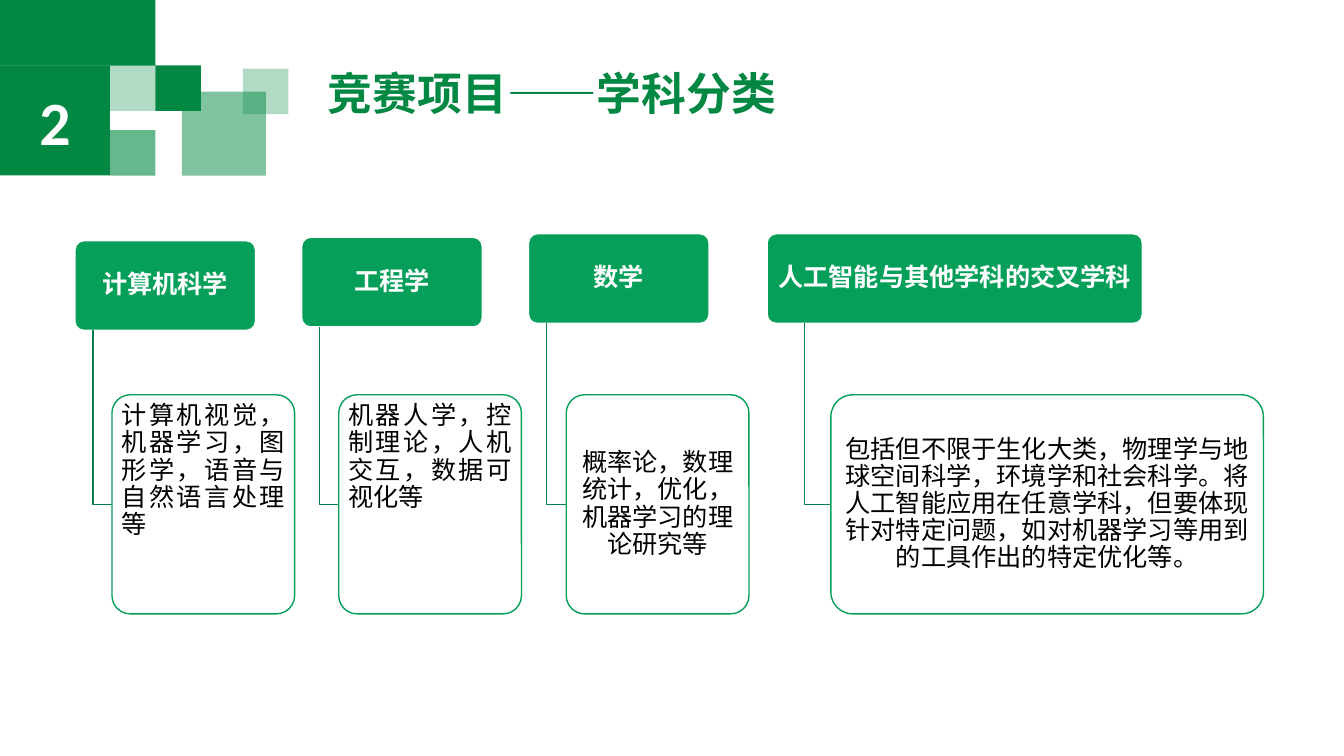
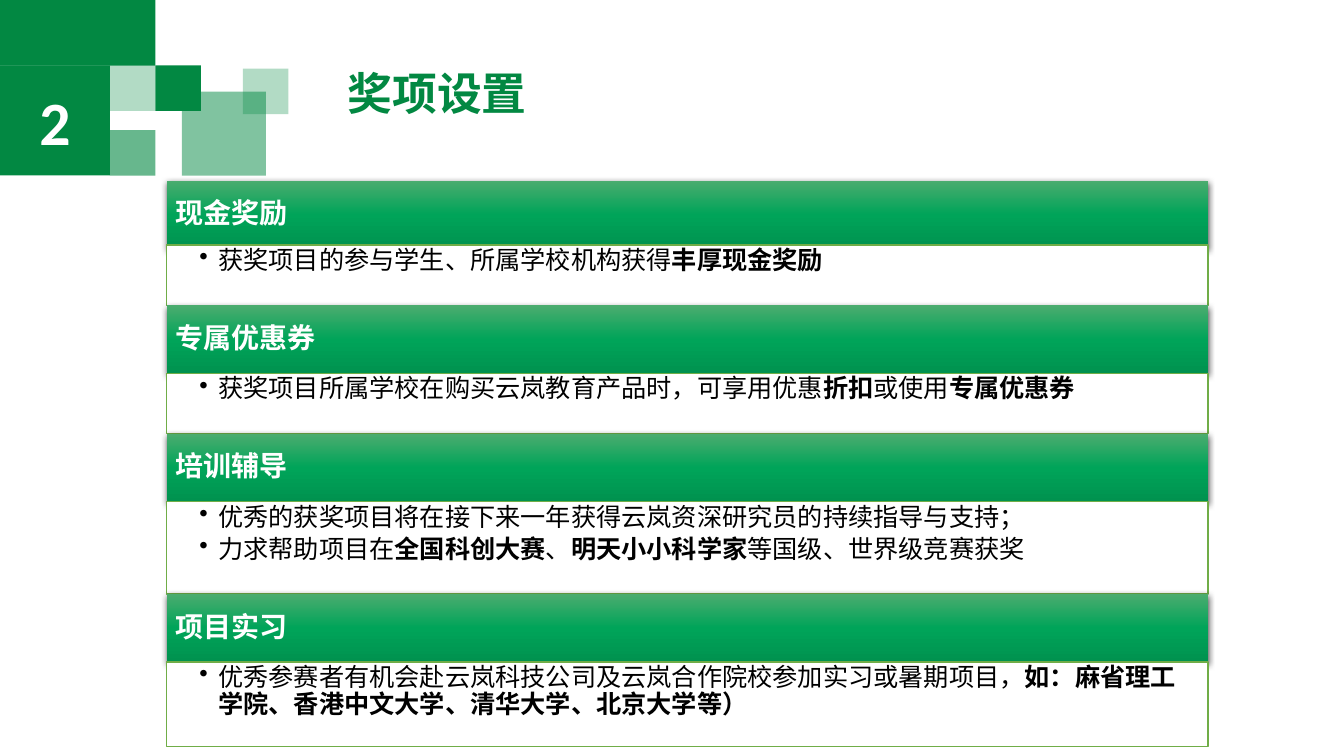
from lxml import etree
from pptx import Presentation
from pptx.dml.color import RGBColor
from pptx.enum.shapes import MSO_SHAPE
from pptx.enum.text import MSO_ANCHOR, MSO_AUTO_SIZE, PP_ALIGN
from pptx.oxml import parse_xml
from pptx.oxml.ns import nsdecls, qn
from pptx.util import Pt

RECTANGLE = MSO_SHAPE.RECTANGLE
ROUNDED = MSO_SHAPE.ROUNDED_RECTANGLE
TOP, MIDDLE = MSO_ANCHOR.TOP, MSO_ANCHOR.MIDDLE
LEFT, CENTER, JUSTIFY = PP_ALIGN.LEFT, PP_ALIGN.CENTER, PP_ALIGN.JUSTIFY
NO_AUTOFIT = MSO_AUTO_SIZE.NONE

COLORS = {
    "brand": "028842",
    "card": "059F59",
    "branch": "047F47",
    "frame": "70AD47",
    "white": "FFFFFF",
    "black": "000000",
    "band_top": "4BAC6F",
    "band_middle": "00A459",
    "band_bottom": "00924F",
}
FONT = "Calibri"

MOSAIC = [
    (0, 0, 111, 47, 100),
    (78.5, 46.75, 32.5, 32.5, 30),
    (111, 46.75, 32.5, 32.5, 100),
    (78.5, 93, 32.5, 32.5, 60),
    (130, 65.5, 60, 60, 50),
    (173.5, 49, 32.5, 32.5, 30),
]

SUBJECTS = [
    ("计算机科学", "计算机视觉，机器学习，图形学，语音与自然语言处理等",
     53.5, 172, 129, 26.5, 130.5, JUSTIFY, TOP),
    ("工程学", "机器人学，控制理论，人机交互，数据可视化等",
     215.5, 169.5, 129, 26.5, 130.5, JUSTIFY, TOP),
    ("数学", "概率论，数理统计，优化，机器学习的理论研究等",
     377.5, 167, 129, 27, 130.5, CENTER, MIDDLE),
    ("人工智能与其他学科的交叉学科",
     "包括但不限于生化大类，物理学与地球空间科学，环境学和社会科学。"
     "将人工智能应用在任意学科，但要体现针对特定问题，"
     "如对机器学习等用到的工具作出的特定优化等。",
     548, 167, 268, 45.5, 309, CENTER, MIDDLE),
]

AWARDS = [
    ("现金奖励", 43.2, 2.5, [("获奖项目的参与学生、所属学校机构获得", "丰厚现金奖励")]),
    ("专属优惠券", 43.2, 0, [
        ("获奖项目所属学校在购买云岚教育产品时，可享用优惠", "折扣", "或使用", "专属优惠券")]),
    ("培训辅导", 66, 0, [
        ("优秀的获奖项目将在接下来一年获得云岚资深研究员的持续指导与支持；",),
        ("力求帮助项目在", "全国科创大赛", "、", "明天小小科学家", "等国级、世界级竞赛获奖")]),
    ("项目实习", 60.5, 0, [
        ("优秀参赛者有机会赴云岚科技公司及云岚合作院校参加实习或暑期项目，",
         "如：麻省理工学院、香港中文大学、清华大学、北京大学等）")]),
]


def rgb(name):
    return RGBColor.from_string(COLORS[name])


class Designer:
    def __init__(self, deck):
        self.deck = deck
        self.layout = deck.slide_layouts[5]
        self.page = None

    def prepare_layout(self):
        for holder in list(self.layout.placeholders)[1:]:
            self.layout.shapes.element.remove(holder.element)
        for left, top, width, height, opacity in MOSAIC:
            tile = self.shape(RECTANGLE, left, top, width, height, "brand")
            if opacity < 100:
                color = tile.element.spPr.find(".//" + qn("a:srgbClr"))
                etree.SubElement(color, qn("a:alpha")).set("val", str(opacity * 1000))
            self.layout.shapes.element.append(tile.element)

    def new_page(self, title, left, width, number):
        first = self.page is None
        self.page = self.deck.slides.add_slide(self.layout)
        if first:
            self.prepare_layout()
        holder = self.page.shapes.title
        holder.left, holder.top, holder.width, holder.height = Pt(left), Pt(47), Pt(width), Pt(43)
        self.add_text(holder, [(title,)], 32, "brand", True, insets=(7.2, 3.6, 7.2, 3.6))
        badge = self.shape(RECTANGLE, 0, 46.75, 78.5, 78.5, "brand")
        self.add_text(badge, [(number,)], 44, "white", True, CENTER, spacing=1)

    def shape(self, kind, left, top, width, height, fill, line=None):
        box = self.page.shapes.add_shape(kind, Pt(left), Pt(top), Pt(width), Pt(height))
        box.shadow.inherit = False
        box.fill.solid()
        box.fill.fore_color.rgb = rgb(fill)
        self.outline(box, line)
        if kind == ROUNDED:
            box.adjustments[0] = 0.1
        return box

    def outline(self, box, color):
        if color:
            box.line.color.rgb = rgb(color)
            box.line.width = Pt(1)
        else:
            box.line.fill.background()

    def add_text(self, box, paragraphs, size, color, bold=False, align=LEFT, anchor=MIDDLE,
                 insets=(3, 2, 3, 2), spacing=0.9, bullets=False):
        frame = box.text_frame
        frame.word_wrap = True
        frame.auto_size = NO_AUTOFIT
        frame.vertical_anchor = anchor
        (frame.margin_left, frame.margin_top,
         frame.margin_right, frame.margin_bottom) = map(Pt, insets)
        for index, pieces in enumerate(paragraphs):
            para = frame.add_paragraph() if index else frame.paragraphs[0]
            para.alignment = align
            para.line_spacing = spacing
            if bullets:
                para.space_after = Pt(3.6)
                self.bullet(para)
            for position, piece in enumerate(pieces):
                span = para.add_run()
                span.text = piece
                span.font.name = FONT
                span.font.size = Pt(size)
                span.font.bold = bold or position % 2 == 1
                span.font.color.rgb = rgb(color)

    def bullet(self, para):
        properties = para._p.get_or_add_pPr()
        properties.set("marL", str(Pt(13.5)))
        properties.set("indent", str(Pt(-13.5)))
        etree.SubElement(properties, qn("a:buChar")).set("char", "•")

    def branch(self, left, top, right, bottom):
        builder = self.page.shapes.build_freeform(Pt(left), Pt(top))
        builder.add_line_segments(
            [(Pt(left), Pt(bottom)), (Pt(right), Pt(bottom))], close=False)
        elbow = builder.convert_to_shape()
        elbow.shadow.inherit = False
        elbow.fill.background()
        self.outline(elbow, "branch")

    def subject(self, name, detail, left, top, width, offset, detail_width, align, anchor):
        head_height, detail_top, detail_height = 64, 282, 156.5
        head = self.shape(ROUNDED, left, top, width, head_height, "card", "white")
        self.add_text(head, [(name,)], 18, "white", True, CENTER)
        self.branch(left + width / 10, top + head_height,
                    left + offset, detail_top + detail_height / 2)
        card = self.shape(ROUNDED, left + offset, detail_top, detail_width, detail_height,
                          "white", "card")
        self.add_text(card, [(detail,)], 18, "black", align=align, anchor=anchor)

    def band(self, name, left, top, width, height):
        box = self.shape(RECTANGLE, left, top, width, height, "band_middle")
        stops = "".join(
            f'<a:gs pos="{place}"><a:srgbClr val="{COLORS[color]}"/></a:gs>'
            for place, color in ((0, "band_top"), (50000, "band_middle"), (100000, "band_bottom")))
        properties = box.element.spPr
        properties.replace(properties.find(qn("a:solidFill")), parse_xml(
            f'<a:gradFill {nsdecls("a")} rotWithShape="1"><a:gsLst>{stops}</a:gsLst>'
            '<a:lin ang="5400000" scaled="0"/></a:gradFill>'))
        properties.find(qn("a:effectLst")).append(parse_xml(
            f'<a:outerShdw {nsdecls("a")} blurRad="{Pt(4.5)}" dist="{Pt(1.5)}" dir="5400000" '
            f'algn="ctr" rotWithShape="0"><a:srgbClr val="{COLORS["black"]}">'
            '<a:alpha val="63000"/></a:srgbClr></a:outerShdw>'))
        self.add_text(box, [(name,)], 20, "white", True, insets=(6, 6, 6, 6))

    def award_list(self, awards):
        left, top, width, band_height = 119, 129, 744, 48.5
        for name, body_height, overlap, items in awards:
            self.band(name, left, top, width, band_height)
            top += band_height - overlap
            body = self.shape(RECTANGLE, left, top, width, body_height, "white", "frame")
            self.add_text(body, items, 18, "black", anchor=TOP,
                          insets=(23.5, 2, 10, 2), bullets=True)
            top += body_height


def main():
    deck = Presentation()
    deck.slide_width, deck.slide_height = Pt(960), Pt(540)
    designer = Designer(deck)

    designer.new_page("竞赛项目——学科分类", 227, 724, "2")
    for subject in SUBJECTS:
        designer.subject(*subject)

    designer.new_page("奖项设置", 241, 609, "2")
    designer.award_list(AWARDS)

    deck.save("out.pptx")


if __name__ == "__main__":
    main()
